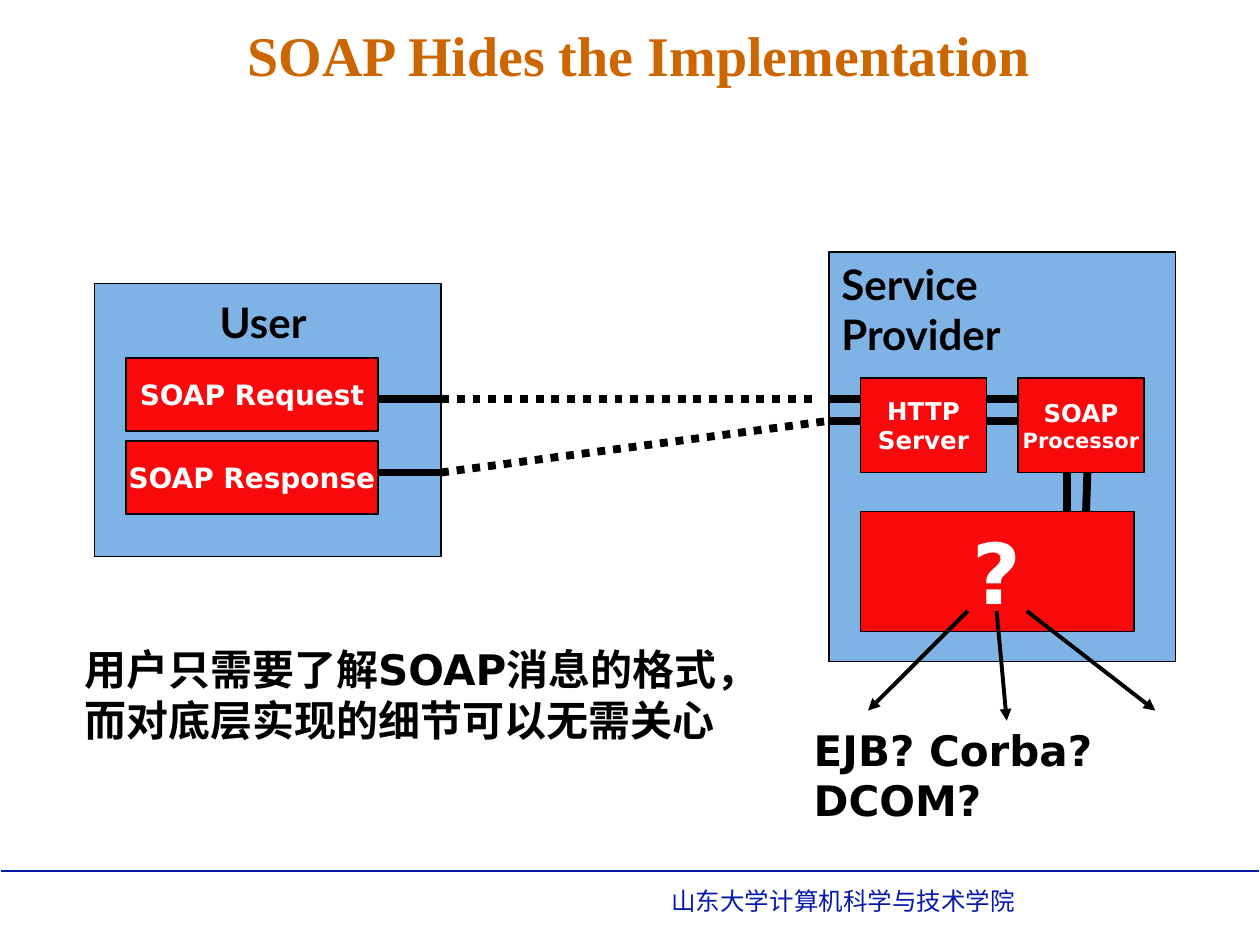
from dataclasses import dataclass

from pptx import Presentation
from pptx.dml.color import RGBColor
from pptx.enum import dml, shapes, text
from pptx.oxml.ns import qn
from pptx.util import Inches, Pt
from lxml import etree


@dataclass(frozen=True)
class Theme:
    title: str = "CC6600"
    panel: str = "0066CC"
    box: str = "FF0000"
    ink: str = "000000"
    light: str = "FFFFFF"
    footer: str = "061AAA"
    title_font: str = "Times New Roman"
    panel_font: str = "Lato"
    label_font: str = "DejaVu Sans"
    footer_font: str = "Arial"
    title_size: float = 32
    heading: float = 24
    mark: float = 48
    message: float = 16
    label: float = 14
    small: float = 12
    outline: float = 0.75
    pipe: float = 4.5
    arrow: float = 2.25


T = Theme()
LEFT, CENTER = text.PP_ALIGN.LEFT, text.PP_ALIGN.CENTER
TOP, MIDDLE = text.MSO_ANCHOR.TOP, text.MSO_ANCHOR.MIDDLE


def write(tf, lines, font, color, align=LEFT, bold=True):
    """Fill a text frame from (wording, size) pairs, one paragraph each."""
    for i, (words, size) in enumerate(lines):
        p = tf.add_paragraph() if i else tf.paragraphs[0]
        p.text = words
        p.alignment = align
        p.font.name, p.font.size, p.font.bold = font, Pt(size), bold
        p.font.color.rgb = RGBColor.from_string(color)


def add_rect(s, at, color, opacity):
    """Add a translucent rectangle with a thin outline."""
    sp = s.shapes.add_shape(shapes.MSO_SHAPE.RECTANGLE, *map(Inches, at))
    sp.shadow.inherit = False
    sp.fill.solid()
    sp.fill.fore_color.rgb = RGBColor.from_string(color)
    fill = sp.fill._xPr.find(qn("a:solidFill"))
    etree.SubElement(fill[0], qn("a:alpha"), val=str(opacity * 1000))
    sp.line.color.rgb = RGBColor.from_string(T.ink)
    sp.line.width = Pt(T.outline)
    sp.text_frame.word_wrap = False
    return sp


def add_panel(s, at, names, align, inset):
    """Add a large panel with its name at the top."""
    tf = add_rect(s, at, T.panel, 50).text_frame
    tf.vertical_anchor, tf.margin_top = TOP, Inches(inset)
    write(tf, [(name, T.heading) for name in names], T.panel_font, T.ink, align)


def add_box(s, at, *lines):
    """Add a red component box with centred text."""
    tf = add_rect(s, at, T.box, 95).text_frame
    tf.vertical_anchor = MIDDLE
    write(tf, lines, T.label_font, T.light, CENTER)


def add_line(s, start, end, width, color=T.ink, dotted=False, arrow=False):
    ends = map(Inches, (*start, *end))
    c = s.shapes.add_connector(shapes.MSO_CONNECTOR.STRAIGHT, *ends)
    c.line.color.rgb = RGBColor.from_string(color)
    c.line.width = Pt(width)
    if dotted:
        c.line.dash_style = dml.MSO_LINE.ROUND_DOT
    if arrow:
        etree.SubElement(c.line._get_or_add_ln(), qn("a:tailEnd"), type="triangle")
    etree.SubElement(c._element.spPr, qn("a:effectLst"))


def add_text(s, at, lines, size, font, color, bold=True):
    tf = s.shapes.add_textbox(*map(Inches, at)).text_frame
    tf.word_wrap = True
    write(tf, [(line, size) for line in lines], font, color, bold=bold)


def add_title(s, words):
    sp = s.shapes.title
    sp.left, sp.top, sp.width, sp.height = map(Inches, (0.4, 0.13, 9.35, 0.6))
    tf = sp.text_frame
    tf.vertical_anchor, tf.auto_size = MIDDLE, text.MSO_AUTO_SIZE.NONE
    write(tf, [(words, T.title_size)], T.title_font, T.title, CENTER)


def main():
    prs = Presentation()
    prs.slide_width, prs.slide_height = Inches(10), Inches(7.5)
    s = prs.slides.add_slide(prs.slide_layouts[5])

    # Footer and title
    add_line(s, (0.01, 6.91), (9.99, 6.91), 1, T.footer)
    add_text(s, (5.23, 6.98, 4.33, 0.34), ["山东大学计算机科学与技术学院"],
             T.label, T.footer_font, T.footer, bold=False)
    add_title(s, "SOAP Hides the Implementation")

    # User side
    add_panel(s, (0.75, 2.25, 2.75, 2.17), ["User "], CENTER, 0.1)
    add_box(s, (1, 2.84, 2, 0.58), ("SOAP Request", T.message))
    add_box(s, (1, 3.5, 2, 0.58), ("SOAP Response", T.message))

    # Provider side
    add_panel(s, (6.58, 2, 2.75, 3.25), ["Service", "Provider"], LEFT, 0.05)
    add_box(s, (6.83, 3, 1, 0.75), ("HTTP", T.label), ("Server", T.label))

    # Request and response paths
    request_y, response_y, reply_y = 3.17, 3.34, 3.75
    for y in (request_y, response_y):
        for x in (6.58, 7.83):
            add_line(s, (x, y), (x + 0.25, y), T.pipe)
    for y in (request_y, reply_y):
        add_line(s, (3, y), (3.5, y), T.pipe)
    add_line(s, (3.5, request_y), (6.5, request_y), T.pipe, dotted=True)
    add_line(s, (3.5, reply_y), (6.58, response_y), T.pipe, dotted=True)
    for bottom_x, top_x in ((8.47, 8.47), (8.62, 8.63)):
        add_line(s, (bottom_x, 4.06), (top_x, 3.75), T.pipe)

    # Hidden implementation
    add_box(s, (6.83, 4.06, 2.17, 0.95), ("?", T.mark))
    add_box(s, (8.08, 3, 1, 0.75), ("SOAP", T.label), ("Processor", T.small))

    # Remarks
    add_text(s, (0.57, 5.06, 5.58, 0.9),
             ["用户只需要了解SOAP消息的格式，", "而对底层实现的细节可以无需关心"],
             T.heading, T.label_font, T.ink)
    add_text(s, (6.36, 5.7, 3.39, 0.9), ["EJB? Corba? DCOM?"],
             T.heading, T.label_font, T.ink)

    # Arrows to the possible implementations
    for x, tip in ((7.68, (6.89, 5.64)), (7.91, (7.99, 5.72)), (8.15, (9.17, 5.64))):
        add_line(s, (x, 4.85), tip, T.arrow, arrow=True)

    prs.save("out.pptx")


if __name__ == "__main__":
    main()
